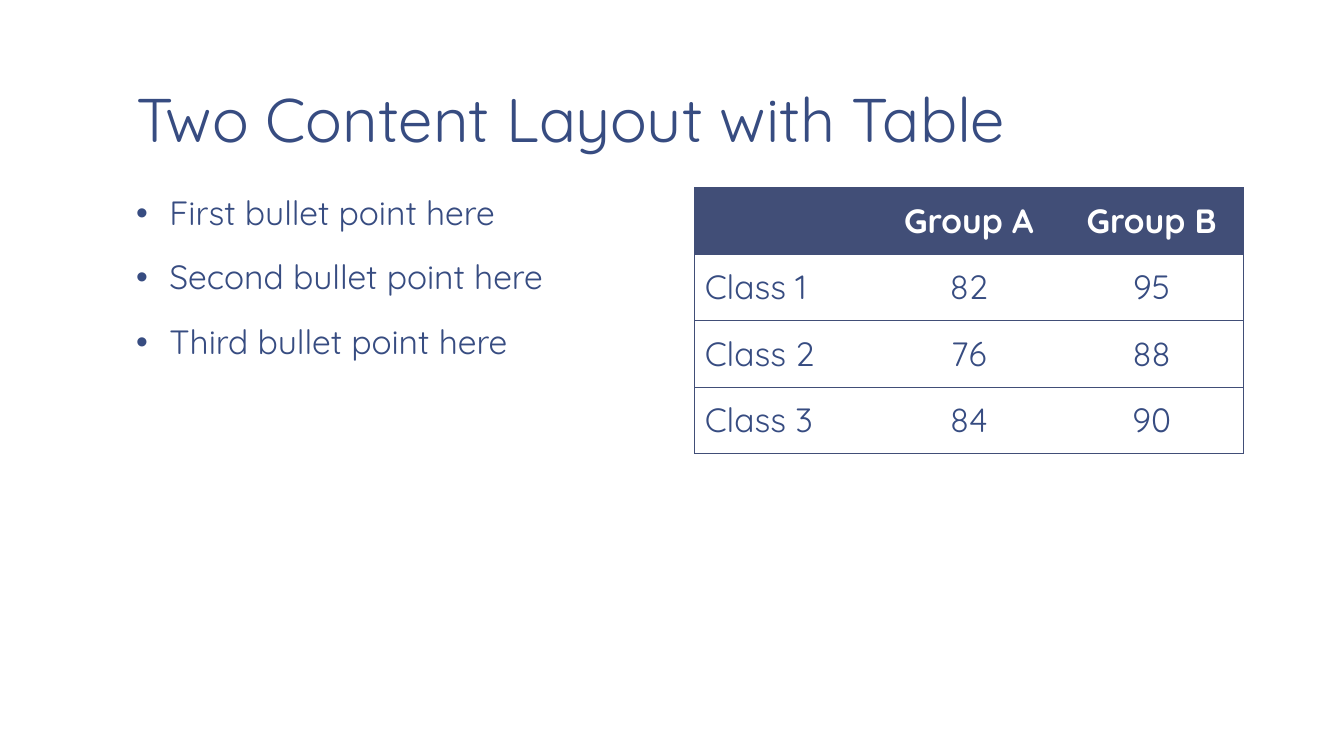
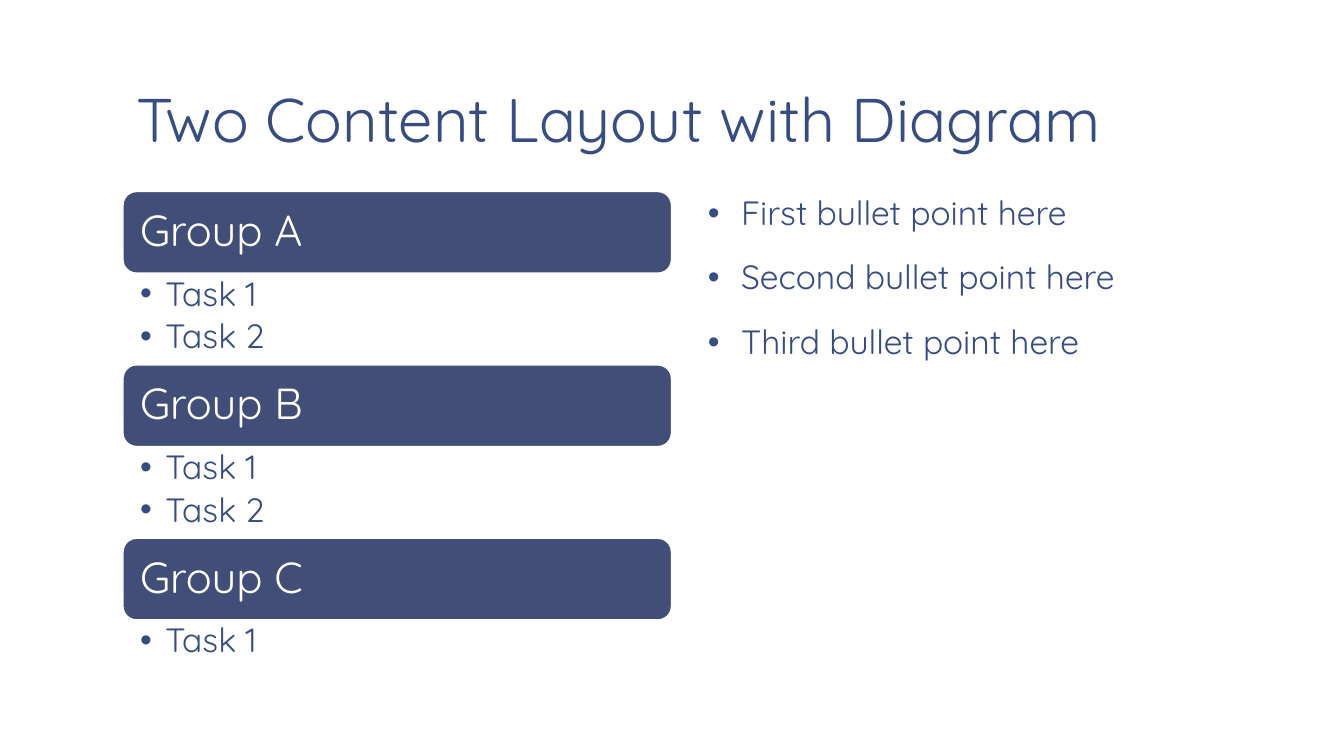
from dataclasses import dataclass

from lxml.etree import SubElement
from pptx import Presentation
from pptx.dml.color import RGBColor
from pptx.enum.shapes import MSO_SHAPE
from pptx.enum.text import MSO_ANCHOR, MSO_AUTO_SIZE, PP_ALIGN
from pptx.oxml.ns import qn
from pptx.util import Inches, Pt


@dataclass(frozen=True)
class Theme:
    font: str = "Quicksand"
    text: str = "374C81"
    accent: str = "414E77"
    white: str = "FFFFFF"
    title_size: float = 44
    band_size: float = 31
    body_size: float = 24
    rule_width: float = 0.5


THEME = Theme()

LEFT_COLUMN = 1.22
RIGHT_COLUMN = 6.89
COLUMN_WIDTH = 5.44
CONTENT_TOP = 1.86
CONTENT_HEIGHT = 4.89
TITLE_BOX = (LEFT_COLUMN, 0.08, 11.11, 1.53)
PLACEHOLDER_INSETS = (0.13, 0.07, 0.13, 0.07)

ROW_HEIGHT = 0.66
BAND_TOP = 1.9
BAND_HEIGHT = 0.81
TASK_HEIGHT = 0.35
TASK_PADDING = 0.21

BULLET_POINTS = (
    "First bullet point here",
    "Second bullet point here",
    "Third bullet point here",
)
SCORES = (
    ("", "Group A", "Group B"),
    ("Class 1", "82", "95"),
    ("Class 2", "76", "88"),
    ("Class 3", "84", "90"),
)
GROUPS = (
    ("Group A", ("Task 1", "Task 2")),
    ("Group B", ("Task 1", "Task 2")),
    ("Group C", ("Task 1",)),
)


def color(value):
    return RGBColor.from_string(value)


def place(shape, left, top, width, height):
    shape.left, shape.top = Inches(left), Inches(top)
    shape.width, shape.height = Inches(width), Inches(height)


def set_frame(frame, insets, anchor=MSO_ANCHOR.TOP):
    frame.word_wrap = True
    frame.auto_size = MSO_AUTO_SIZE.NONE
    frame.vertical_anchor = anchor
    frame.margin_left, frame.margin_top, frame.margin_right, frame.margin_bottom = map(
        Inches, insets
    )


def add_bullet(paragraph, indent):
    properties = paragraph._p.get_or_add_pPr()
    properties.set("marL", str(Inches(indent)))
    properties.set("indent", str(-Inches(indent)))
    SubElement(properties, qn("a:buFont"), typeface="Arial")
    SubElement(properties, qn("a:buChar"), char="•")


def write(frame, *lines, size=THEME.body_size, fill=THEME.text, bold=False,
          align=PP_ALIGN.LEFT, spacing=1.0, before=0, after=0, indent=None):
    """Write one paragraph per line; an indent in inches makes it a bullet."""
    for index, line in enumerate(lines):
        paragraph = frame.add_paragraph() if index else frame.paragraphs[0]
        paragraph.alignment = align
        paragraph.line_spacing = spacing
        paragraph.space_before = Pt(before)
        paragraph.space_after = Pt(after)
        if indent:
            add_bullet(paragraph, indent)
        run = paragraph.add_run()
        run.text = line
        run.font.name = THEME.font
        run.font.size = Pt(size)
        run.font.bold = bold
        run.font.color.rgb = color(fill)


def add_content_slide(presentation, title, bullets_left):
    slide = presentation.slides.add_slide(presentation.slide_layouts[1])
    heading, body = slide.shapes.title, slide.placeholders[1]
    place(heading, *TITLE_BOX)
    set_frame(heading.text_frame, PLACEHOLDER_INSETS, MSO_ANCHOR.BOTTOM)
    write(heading.text_frame, title, size=THEME.title_size, spacing=0.85)
    place(body, bullets_left, CONTENT_TOP, COLUMN_WIDTH, CONTENT_HEIGHT)
    set_frame(body.text_frame, PLACEHOLDER_INSETS)
    write(body.text_frame, *BULLET_POINTS, spacing=0.95, before=18.7, indent=0.33)
    return slide


def set_borders(cell, ruled_sides):
    """Rule the given sides of a cell and clear the others."""
    properties = cell._tc.get_or_add_tcPr()
    for side in "LRTB":
        line = SubElement(properties, qn(f"a:ln{side}"), w=str(Pt(THEME.rule_width)))
        if side in ruled_sides:
            fill = SubElement(line, qn("a:solidFill"))
            SubElement(fill, qn("a:srgbClr"), val=THEME.accent)
        else:
            SubElement(line, qn("a:noFill"))


def add_score_table(slide, rows, left, top):
    column_count = len(rows[0])
    table = slide.shapes.add_table(
        len(rows), column_count, Inches(left), Inches(top),
        Inches(COLUMN_WIDTH), Inches(ROW_HEIGHT * len(rows)),
    ).table
    table.horz_banding = False
    for row_index, values in enumerate(rows):
        is_header = row_index == 0
        for column_index, value in enumerate(values):
            cell = table.cell(row_index, column_index)
            sides = "TB"
            if column_index == 0:
                sides += "L"
            if column_index == column_count - 1:
                sides += "R"
            set_borders(cell, sides)
            if is_header:
                cell.fill.solid()
                cell.fill.fore_color.rgb = color(THEME.accent)
            else:
                cell.fill.background()
            cell.vertical_anchor = MSO_ANCHOR.MIDDLE
            if value:
                write(
                    cell.text_frame, value, bold=is_header,
                    fill=THEME.white if is_header else THEME.text,
                    align=PP_ALIGN.CENTER if column_index else PP_ALIGN.LEFT,
                )


def add_band(slide, label, top):
    band = slide.shapes.add_shape(
        MSO_SHAPE.ROUNDED_RECTANGLE, Inches(LEFT_COLUMN), Inches(top),
        Inches(COLUMN_WIDTH), Inches(BAND_HEIGHT),
    )
    band.shadow.inherit = False
    band.fill.solid()
    band.fill.fore_color.rgb = color(THEME.accent)
    band.line.color.rgb = color(THEME.white)
    band.line.width = Pt(1)
    set_frame(band.text_frame, (0.13, 0.13, 0.13, 0.13), MSO_ANCHOR.MIDDLE)
    write(band.text_frame, label, size=THEME.band_size, fill=THEME.white, spacing=0.9)


def add_task_list(slide, tasks, top, height):
    box = slide.shapes.add_textbox(
        Inches(LEFT_COLUMN), Inches(top), Inches(COLUMN_WIDTH), Inches(height)
    )
    set_frame(box.text_frame, (0.17, 0.04, 0.24, 0.04))
    write(box.text_frame, *tasks, spacing=0.9, after=4.5, indent=0.25)


def add_group_list(slide, groups):
    top = BAND_TOP
    for label, tasks in groups:
        add_band(slide, label, top)
        top += BAND_HEIGHT
        height = TASK_PADDING + TASK_HEIGHT * len(tasks)
        add_task_list(slide, tasks, top, height)
        top += height


def main():
    presentation = Presentation()
    presentation.slide_width = Inches(13.33)
    presentation.slide_height = Inches(7.5)

    table_slide = add_content_slide(
        presentation, "Two Content Layout with Table", LEFT_COLUMN
    )
    add_score_table(table_slide, SCORES, RIGHT_COLUMN, CONTENT_TOP)

    group_slide = add_content_slide(
        presentation, "Two Content Layout with Diagram", RIGHT_COLUMN
    )
    add_group_list(group_slide, GROUPS)

    presentation.save("out.pptx")


if __name__ == "__main__":
    main()
